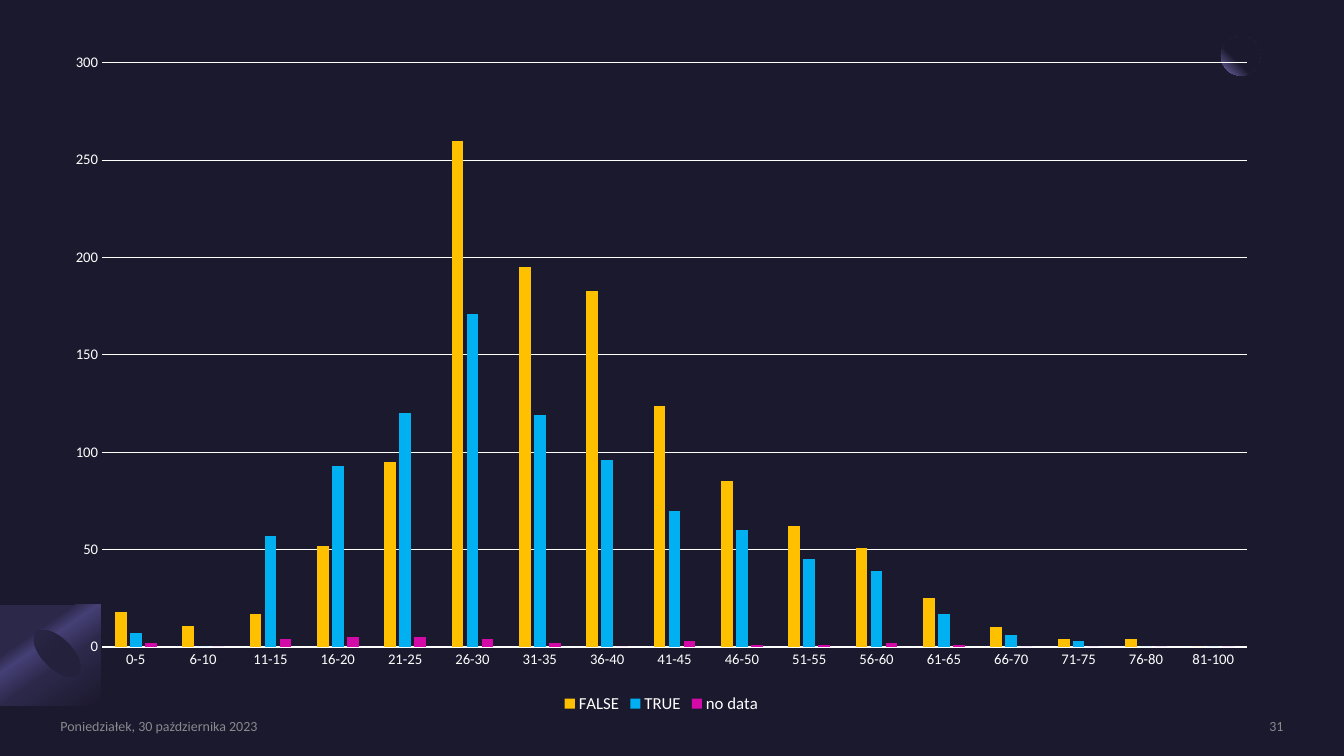
from lxml import etree
from pptx import Presentation
from pptx.chart.data import CategoryChartData
from pptx.dml.color import RGBColor
from pptx.enum.chart import XL_CHART_TYPE, XL_LEGEND_POSITION, XL_TICK_MARK
from pptx.enum.shapes import MSO_SHAPE
from pptx.enum.text import MSO_ANCHOR, PP_ALIGN
from pptx.oxml import parse_xml
from pptx.oxml.ns import nsdecls, qn
from pptx.util import Inches, Pt

FONT = "Calibri"
WHITE = RGBColor.from_string("FFFFFF")
LINEAR = '<a:lin ang="{}" scaled="0"/>'
CIRCLE_FROM_TOP_RIGHT = '<a:path path="circle"><a:fillToRect l="100000" b="100000"/></a:path>'


def shade(shape, stops, direction):
    """Give a shape a gradient of (percent, colour) stops, with no outline or shadow."""
    shape.shadow.inherit = False
    shape.line.fill.background()
    marks = "".join(f'<a:gs pos="{share * 1000}"><a:srgbClr val="{color}"/></a:gs>'
                    for share, color in stops)
    gradient = parse_xml(f'<a:gradFill {nsdecls("a")} rotWithShape="1">'
                         f'<a:gsLst>{marks}</a:gsLst>{direction}</a:gradFill>')
    properties = shape.fill._xPr
    shape.fill.background()
    properties.replace(properties.find(qn("a:noFill")), gradient)


def add_footer(page, text, left, width, align):
    box = page.shapes.add_textbox(Inches(left), Inches(7.12), Inches(width), Inches(0.17))
    frame = box.text_frame
    frame.word_wrap = True
    frame.vertical_anchor = MSO_ANCHOR.MIDDLE
    frame.margin_left = frame.margin_top = frame.margin_right = frame.margin_bottom = 0
    para = frame.paragraphs[0]
    para.alignment = align
    span = para.add_run()
    span.text = text
    span.font.name = FONT
    span.font.size = Pt(10)
    span.font.color.rgb = RGBColor.from_string("A6A6A6")
    color = next(span.font._element.iter(qn("a:srgbClr")))
    etree.SubElement(color, qn("a:alpha")).set("val", "80000")


deck = Presentation()
deck.slide_width, deck.slide_height = Inches(13.33), Inches(7.5)
page = deck.slides.add_slide(deck.slide_layouts[6])
page.background.fill.solid()
page.background.fill.fore_color.rgb = RGBColor.from_string("1B192E")

# Decorative moon and cone
moon = page.shapes.add_shape(MSO_SHAPE.OVAL, Inches(12.11), Inches(0.36), Inches(0.39), Inches(0.39))
shade(moon, [(60, "1B192E"), (100, "7771B2")], CIRCLE_FROM_TOP_RIGHT)

cone = page.shapes.add_group_shape()
outline = cone.shapes.build_freeform(0.95, 6.1, scale=Inches(1))
outline.add_line_segments([(0.8, 6.66), (0.78, 6.69), (0.72, 6.71), (0.6, 6.68), (0.46, 6.59),
                           (0.38, 6.48), (0.34, 6.36), (0.36, 6.27), (0.39, 6.25)])
side = outline.convert_to_shape()
shade(side, [(30, "2C284A"), (40, "454075"), (60, "2C284A"), (100, "1B192E")],
      LINEAR.format(55 * 60000))
base = cone.shapes.add_shape(MSO_SHAPE.OVAL, Inches(0.42), Inches(6.19), Inches(0.3), Inches(0.59))
base.rotation = 135
shade(base, [(50, "23213C"), (100, "2C284A")], LINEAR.format(90 * 60000))

add_footer(page, "Poniedziałek, 30 października 2023", 0.6, 2.88, PP_ALIGN.LEFT)
add_footer(page, "31", 10.88, 1.85, PP_ALIGN.RIGHT)

# Age groups in steps of five years, the last one open to 100
ages = ["0-5"] + [f"{start}-{start + 4}" for start in range(6, 77, 5)] + ["81-100"]
answers = [
    ("FALSE", "FFC000", [18, 11, 17, 52, 95, 260, 195, 183, 124, 85, 62, 51, 25, 10, 4, 4, 0]),
    ("TRUE", "00B0F0", [7, 0, 57, 93, 120, 171, 119, 96, 70, 60, 45, 39, 17, 6, 3, 0, 0]),
    ("no data", "D40AA8", [2, 0, 4, 5, 5, 4, 2, 0, 3, 1, 1, 2, 1, 0, 0, 0, 0]),
]
data = CategoryChartData()
data.categories = ages
for name, color, counts in answers:
    data.add_series(name, counts)
chart = page.shapes.add_chart(XL_CHART_TYPE.COLUMN_CLUSTERED, Inches(0.51), Inches(0.4),
                              Inches(12.1), Inches(6.72), data).chart
chart.has_title = False
chart.font.name = FONT
chart.font.size = Pt(10)
chart.font.color.rgb = WHITE

plot = chart.plots[0]
plot.vary_by_categories = False
plot.gap_width, plot.overlap = 219, -27
for series, (name, color, counts) in zip(plot.series, answers):
    series.format.fill.solid()
    series.format.fill.fore_color.rgb = RGBColor.from_string(color)

chart.has_legend = True
chart.legend.position = XL_LEGEND_POSITION.BOTTOM
chart.legend.include_in_layout = False

count_axis, age_axis = chart.value_axis, chart.category_axis
for axis in (count_axis, age_axis):
    axis.major_tick_mark = axis.minor_tick_mark = XL_TICK_MARK.NONE
for part, size in ((count_axis.tick_labels, 10.5), (age_axis.tick_labels, 10.5), (chart.legend, 12)):
    part.font.name = FONT
    part.font.size = Pt(size)
    part.font.color.rgb = WHITE
count_axis.minimum_scale, count_axis.maximum_scale, count_axis.major_unit = 0, 300, 50
count_axis.format.line.fill.background()
for line in (count_axis.major_gridlines.format.line, age_axis.format.line):
    line.color.rgb = WHITE
    line.width = Pt(0.75)

deck.save("out.pptx")
